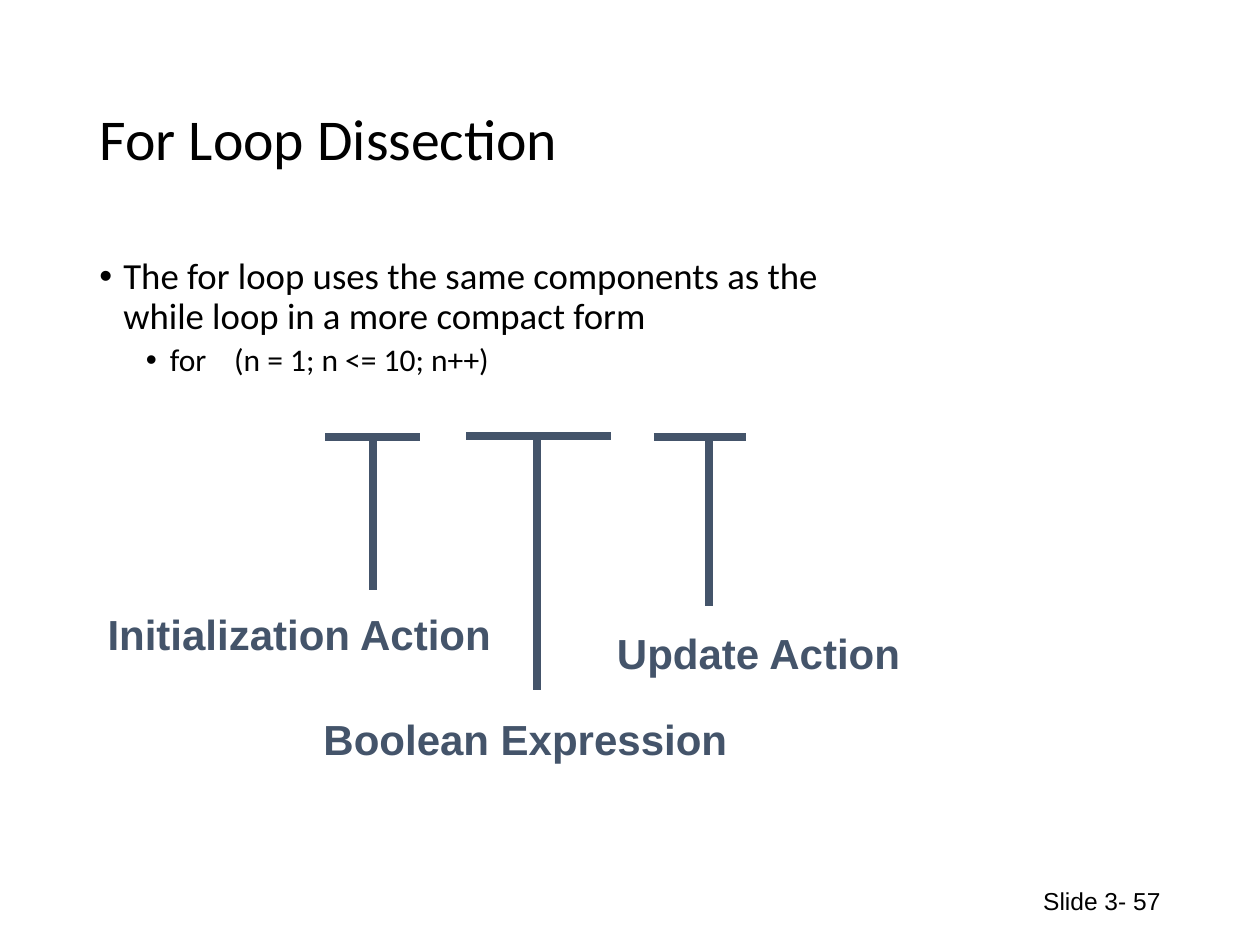
from typing import NamedTuple

from lxml.etree import SubElement
from pptx import Presentation
from pptx.dml.color import RGBColor
from pptx.enum.shapes import MSO_CONNECTOR as Conn
from pptx.enum.text import MSO_ANCHOR as Anchor, MSO_AUTO_SIZE as Auto, PP_ALIGN as Align
from pptx.oxml.ns import qn
from pptx.util import Pt

PX = 9144  # 100 px to the inch
BLACK = RGBColor(0x00, 0x00, 0x00)
SLATE = RGBColor(0x44, 0x54, 0x6A)


class Box(NamedTuple):
    left: int
    top: int
    width: int
    height: int


class Part(NamedTuple):
    """One part of the loop header: a bar under it, a stem and a label."""
    name: str
    left: int
    right: int
    bar: int
    stem: int
    top: int
    foot: int
    label: Box


PARTS = [
    Part("Initialization Action", 258, 333, 347, 296, 347, 468, Box(75, 475, 325, 50)),
    Part("Boolean Expression", 370, 485, 346, 426, 346, 548, Box(247, 558, 340, 50)),
    Part("Update Action", 519, 592, 347, 563, 349, 481, Box(479, 490, 246, 50)),
]


def place(shape, box: Box):
    shape.left, shape.top, shape.width, shape.height = (n * PX for n in box)
    return shape


def add_box(slide, box: Box, anchor=Anchor.TOP, wrap=True, inset=5):
    frame = slide.shapes.add_textbox(*(n * PX for n in box)).text_frame
    frame.word_wrap = wrap
    frame.auto_size = Auto.NONE
    frame.vertical_anchor = anchor
    frame.margin_top = inset * PX
    return frame


def write(para, text: str, *, size: float, font="Arial", color=BLACK,
          bold=False, align=Align.LEFT, line=1.0, before=0.0):
    para.text = text
    para.alignment = align
    para.line_spacing = line
    para.space_before = Pt(before)
    for run in para.runs:
        run.font.size = Pt(size)
        run.font.name = font
        run.font.bold = bold
        run.font.color.rgb = color


def add_bullet(para, left: int, hang: int, tab: int = 0):
    props = para._p.get_or_add_pPr()
    props.set("marL", str(left * PX))
    props.set("indent", str(-hang * PX))
    SubElement(props, qn("a:buFont")).set("typeface", "Arial")
    SubElement(props, qn("a:buChar")).set("char", "•")
    if tab:
        stop = SubElement(SubElement(props, qn("a:tabLst")), qn("a:tab"))
        stop.set("pos", str(tab * PX))
        stop.set("algn", "l")


def add_line(shapes, x1: int, y1: int, x2: int, y2: int):
    line = shapes.add_connector(Conn.STRAIGHT, x1 * PX, y1 * PX, x2 * PX, y2 * PX)
    line.line.color.rgb = SLATE
    line.line.width = Pt(4.5)
    SubElement(line._element.spPr, qn("a:effectLst"))


def add_part(slide, part: Part):
    shapes = slide.shapes.add_group_shape().shapes
    add_line(shapes, part.left, part.bar, part.right, part.bar)
    add_line(shapes, part.stem, part.top, part.stem, part.foot)
    frame = add_box(slide, part.label, wrap=False, inset=8)
    write(frame.paragraphs[0], part.name, size=24, color=SLATE, bold=True, align=Align.CENTER)


def main():
    deck = Presentation()
    deck.slide_width, deck.slide_height = 1000 * PX, 750 * PX
    slide = deck.slides.add_slide(deck.slide_layouts[5])

    title = place(slide.shapes.title, Box(69, 40, 862, 145)).text_frame
    title.auto_size = Auto.NONE
    title.vertical_anchor = Anchor.MIDDLE
    write(title.paragraphs[0], "For Loop Dissection", size=33, font="Calibri", line=0.9)

    body = add_box(slide, Box(69, 200, 862, 129))
    lead = body.paragraphs[0]
    write(lead, "The for loop uses the same components as the\vwhile loop in a more compact form",
          size=21, font="Calibri", line=0.9, before=7.5)
    add_bullet(lead, 19, 19)
    code = body.add_paragraph()
    code.level = 1
    write(code, "for\t(n = 1; n <= 10; n++)", size=18, font="Calibri", line=0.9, before=3.8)
    add_bullet(code, 56, 19, tab=107)

    for part in PARTS:
        add_part(slide, part)

    number = add_box(slide, Box(706, 695, 225, 40), anchor=Anchor.MIDDLE)
    write(number.paragraphs[0], "Slide 3- 57", size=14, align=Align.RIGHT)

    deck.save("out.pptx")


if __name__ == "__main__":
    main()
